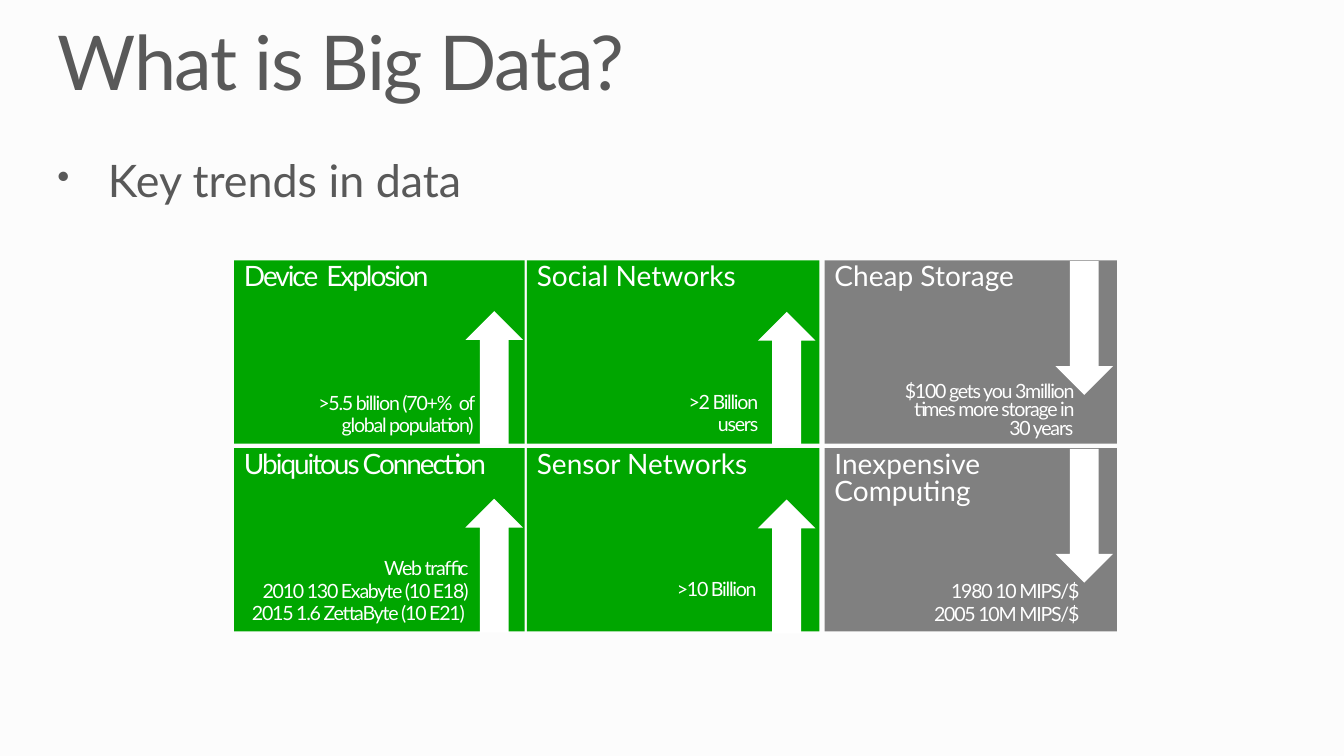
from lxml import etree
from pptx import Presentation
from pptx.dml.color import RGBColor
from pptx.enum.shapes import MSO_SHAPE as Shape
from pptx.enum.text import MSO_ANCHOR as Anchor, MSO_AUTO_SIZE as AutoSize, PP_ALIGN as Align
from pptx.oxml.ns import qn
from pptx.util import Cm, Pt

GREEN, GREY, WHITE, TEXT = "00A600", "808080", "FFFFFF", "595959"


def paint(fill, color):
    fill.solid()
    fill.fore_color.rgb = RGBColor.from_string(color)


def write(box, text, size, color, spacing, tracking=0, align=Align.LEFT, margins=(0, 0), before=0):
    frame = box.text_frame
    frame.word_wrap = True
    frame.auto_size = AutoSize.NONE
    frame.vertical_anchor = Anchor.TOP
    frame.margin_left = frame.margin_right = Cm(margins[0])
    frame.margin_top = frame.margin_bottom = Cm(margins[1])
    frame.text = text
    for para in frame.paragraphs:
        para.alignment = align
        para.line_spacing = spacing
        para.space_before = Pt(before)
        para.font.name = "Lato"
        para.font.size = Pt(size)
        paint(para.font.fill, color)
        if tracking:
            para.font._rPr.set("spc", str(round(tracking * 100)))


deck = Presentation()
deck.slide_width, deck.slide_height = Cm(33.87), Cm(19.05)
page = deck.slides.add_slide(deck.slide_layouts[5])
paint(page.background.fill, "FCFCFC")

# Title
title = page.shapes.title
title.left, title.top, title.width, title.height = Cm(1.45), Cm(0.64), Cm(30.99), Cm(2.08)
write(title, "What is Big Data?", 54, TEXT, 0.9, tracking=-1)

# Bulleted subtitle
subtitle = page.shapes.add_textbox(Cm(1.45), Cm(4.01), Cm(30.99), Cm(1.22))
write(subtitle, "Key trends in data", 32, TEXT, 0.9, before=6.4)
properties = subtitle.text_frame.paragraphs[0]._p.get_or_add_pPr()
properties.set("marL", str(Cm(1.27)))
properties.set("indent", str(Cm(-1.27)))
bullet_size = etree.Element(qn("a:buSzPct"), val="80000")
bullet = etree.Element(qn("a:buChar"), char="•")
font_defaults = properties.find(qn("a:defRPr"))
font_defaults.addprevious(bullet_size)
font_defaults.addprevious(bullet)

# Trend grid: columns are (left, width, color, arrow shape, arrow left, arrow drop)
columns = [
    (5.9, 7.32, GREEN, Shape.UP_ARROW, 11.73, 1.28),
    (13.28, 7.37, GREEN, Shape.UP_ARROW, 19.1, 1.3),
    (20.78, 7.37, GREY, Shape.DOWN_ARROW, 26.6, 0.02),
]
row_tops = [6.56, 11.29]

# Trends: (heading, heading tracking, note, note right, top, width, line spacing)
trends = [
    [
        ("Device  Explosion", -1.5, ">5.5 billion (70+%  of global population)", 11.94, 9.93, 5, 0.9),
        ("Social Networks", 0, ">2 Billion\nusers", 19.11, 9.93, 4.45, 0.8),
        ("Cheap Storage", 0, "$100 gets you 3million times more storage in 30 years",
         27.05, 9.65, 4.29, 0.8),
    ],
    [
        ("Ubiquitous Connection", -1.5,
         "Web traffic\n2010 130 Exabyte (10 E18)\n2015 1.6 ZettaByte (10 E21) ", 11.81, 14.12, 6.1, 0.8),
        ("Sensor Networks", 0, ">10 Billion", 19.07, 14.66, 4.52, 0.8),
        ("Inexpensive \vComputing", 0, "1980 10 MIPS/$ \n2005 10M MIPS/$ ", 27.3, 14.71, 4.24, 0.8),
    ],
]

for top, row in zip(row_tops, trends):
    for column, trend in zip(columns, row):
        left, width, color, arrow_shape, arrow_left, drop = column
        heading, tracking, note_text, note_right, note_top, note_width, spacing = trend

        # Tile with heading
        tile = page.shapes.add_shape(Shape.RECTANGLE, Cm(left), Cm(top), Cm(width), Cm(4.62))
        write(tile, heading, 20, WHITE, 0.8, tracking, margins=(0.25, 0.13))

        # Trend arrow
        arrow = page.shapes.add_shape(arrow_shape, Cm(arrow_left), Cm(top + drop), Cm(1.45), Cm(3.37))
        for shape, fill_color in ((tile, color), (arrow, WHITE)):
            paint(shape.fill, fill_color)
            shape.line.fill.background()
            shape.shadow.inherit = False

        # Note
        note = page.shapes.add_textbox(Cm(note_right - note_width), Cm(note_top), Cm(note_width), Cm(1.07))
        write(note, note_text, 14, WHITE, spacing, -0.9, Align.RIGHT, before=2.8)

deck.save("out.pptx")
